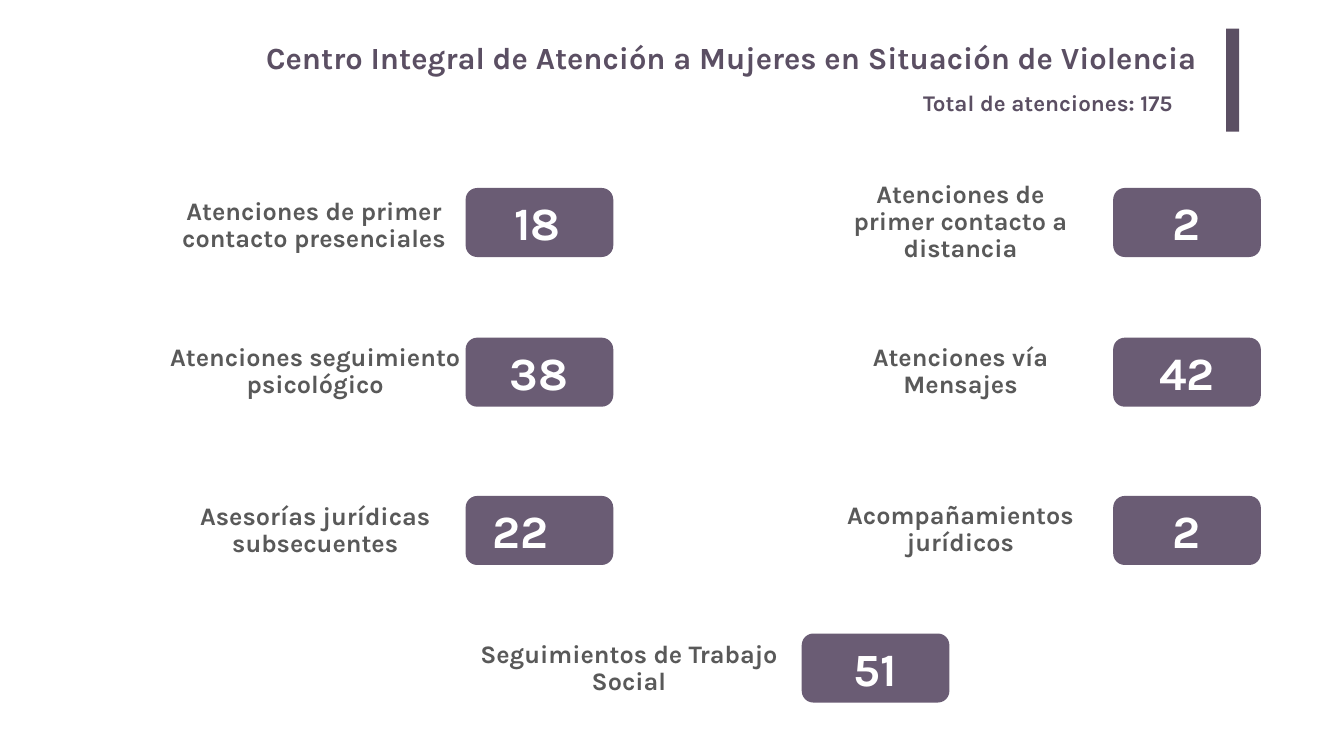
from pptx import Presentation
from pptx.dml.color import RGBColor
from pptx.enum.shapes import MSO_SHAPE as SHAPE
from pptx.enum.text import MSO_ANCHOR as ANCHOR, PP_ALIGN as ALIGN
from pptx.util import Inches

COLORS = {"title": "5B4F63", "badge": "6A5C74", "label": "595959", "number": "FFFFFF"}
FONT = "Karla"
BADGE_W, BADGE_H = 2.93, 1.37
LEFT, RIGHT, CENTER = 9.24, 22.09, 15.91
ROWS = [3.73, 6.7, 9.84, 12.57]

# Badge left and top, number, number shift, label and label box relative to the badge
CARDS = [
    (LEFT, ROWS[0], "18", -0.04, "Atenciones de primer contacto presenciales", (-5.75, 0.07, 5.48, 1.37)),
    (RIGHT, ROWS[0], "2", 0, "Atenciones de primer contacto a distancia", (-5.61, 0.08, 5.16, 1.21)),
    (LEFT, ROWS[1], "38", 0, "Atenciones seguimiento psicológico", (-6.89, 0.42, 7.81, 0.53)),
    (RIGHT, ROWS[1], "42", 0, "Atenciones vía Mensajes", (-5.99, 0.16, 5.92, 1.05)),
    (LEFT, ROWS[2], "22", -0.38, "Asesorías jurídicas subsecuentes", (-6.01, 0.29, 6.05, 0.8)),
    (RIGHT, ROWS[2], "2", 0, "Acompañamientos jurídicos", (-6.26, 0.36, 6.46, 0.64)),
    (CENTER, ROWS[3], "51", 0, "Seguimientos de Trabajo Social", (-6.67, 0, 6.48, 1.41)),
]


def add_block(s, kind, box, color):
    """Add a filled shape without line or shadow."""
    sp = s.shapes.add_shape(kind, *map(Inches, box))
    sp.shadow.inherit = False
    sp.fill.solid()
    sp.fill.fore_color.rgb = RGBColor.from_string(COLORS[color])
    sp.line.fill.background()
    return sp


def add_text(s, box, text, size, color, align=ALIGN.CENTER, anchor=ANCHOR.TOP, spacing=None, inset=0.1):
    """Add a bold, wrapped text box."""
    tf = s.shapes.add_textbox(*map(Inches, box)).text_frame
    tf.word_wrap = True
    tf.vertical_anchor = anchor
    tf.margin_left = tf.margin_right = Inches(inset)
    tf.margin_top = tf.margin_bottom = Inches(inset / 2)
    tf.text = text
    p = tf.paragraphs[0]
    p.alignment = align
    p.line_spacing = spacing
    font = p.runs[0].font
    font.name, font.bold = FONT, True
    font.size = Inches(size / 72)
    font.color.rgb = RGBColor.from_string(COLORS[color])


def add_header(s, x, y):
    """Place the title, the total and the accent bar."""
    add_text(s, (x, y + 0.1, 20.3, 1.02), "Centro Integral de Atención a Mujeres en Situación de Violencia",
             44, "title", ALIGN.RIGHT, inset=0.2)
    add_block(s, SHAPE.RECTANGLE, (x + 20.67, y, 0.26, 2.04), "title")
    add_text(s, (x + 14.56, y + 1.14, 5.92, 0.64), "Total de atenciones: 175", 32, "title", ALIGN.LEFT)


def add_card(s, x, y, number, shift, label, label_box):
    """Place a label and its number badge relative to the badge corner."""
    dx, dy, w, h = label_box
    add_text(s, (x + dx, y + dy, w, h), label, 36, "label", anchor=ANCHOR.MIDDLE, spacing=0.9)
    badge = add_block(s, SHAPE.ROUNDED_RECTANGLE, (x, y, BADGE_W, BADGE_H), "badge")
    badge.adjustments[0] = 0.167
    add_text(s, (x + 0.44 + shift, y + 0.08, 2.04, 1.21), number, 66, "number")


def main():
    """Build and save the slide."""
    prs = Presentation()
    prs.slide_width, prs.slide_height = Inches(26.67), Inches(15)
    s = prs.slides.add_slide(prs.slide_layouts[6])
    add_header(s, 3.66, 0.57)
    for card in CARDS:
        add_card(s, *card)
    prs.save("out.pptx")


if __name__ == "__main__":
    main()
